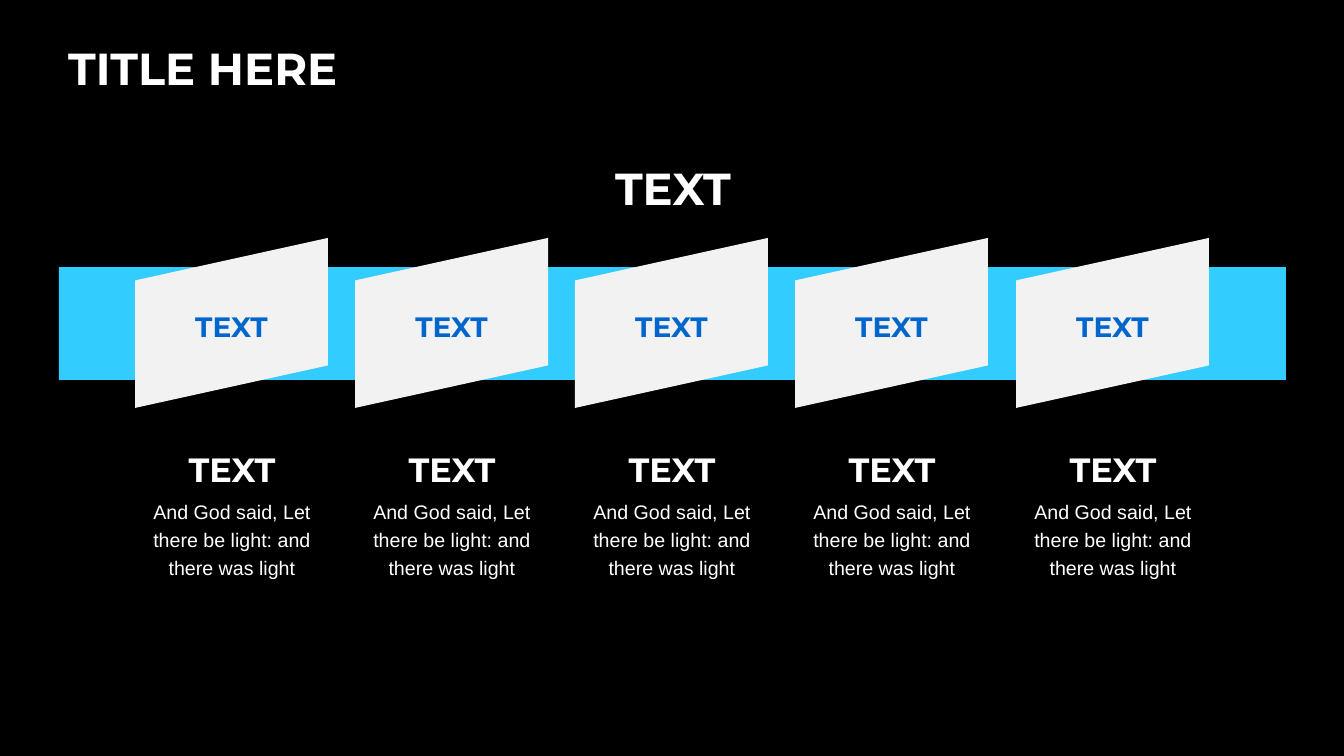
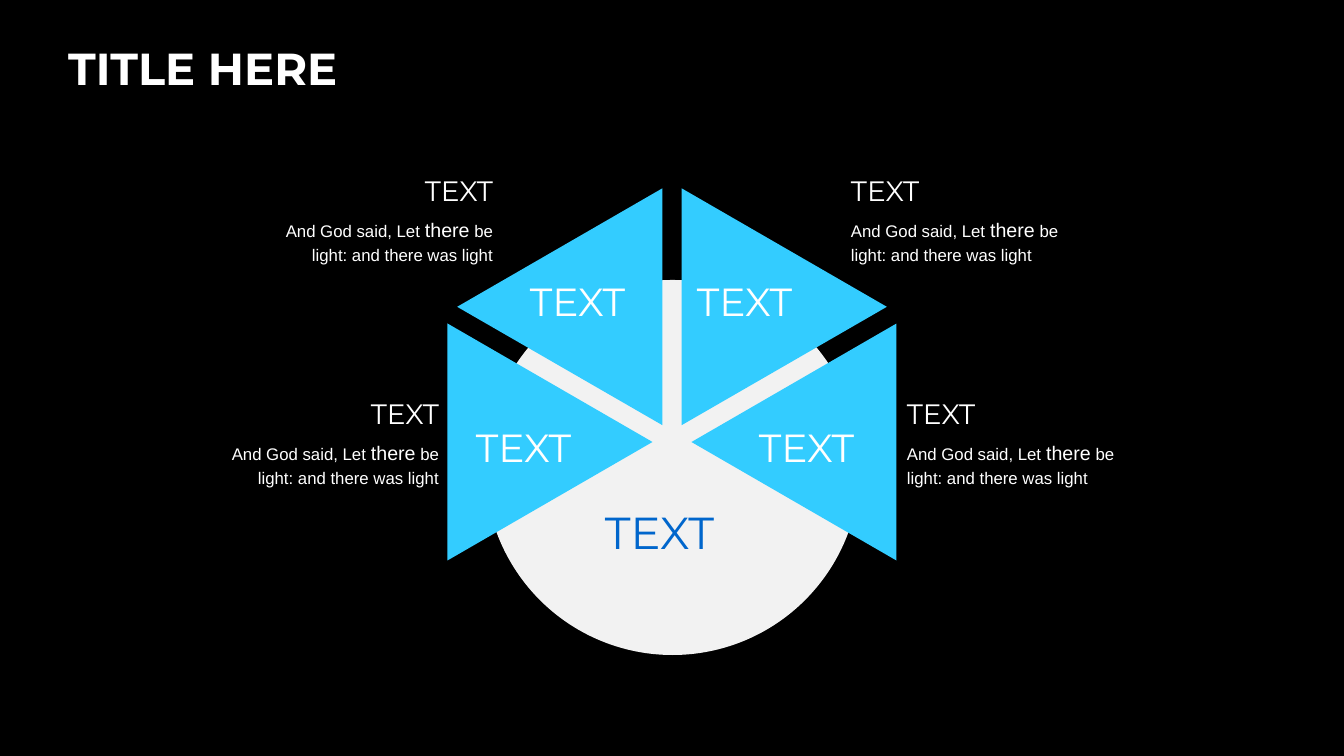
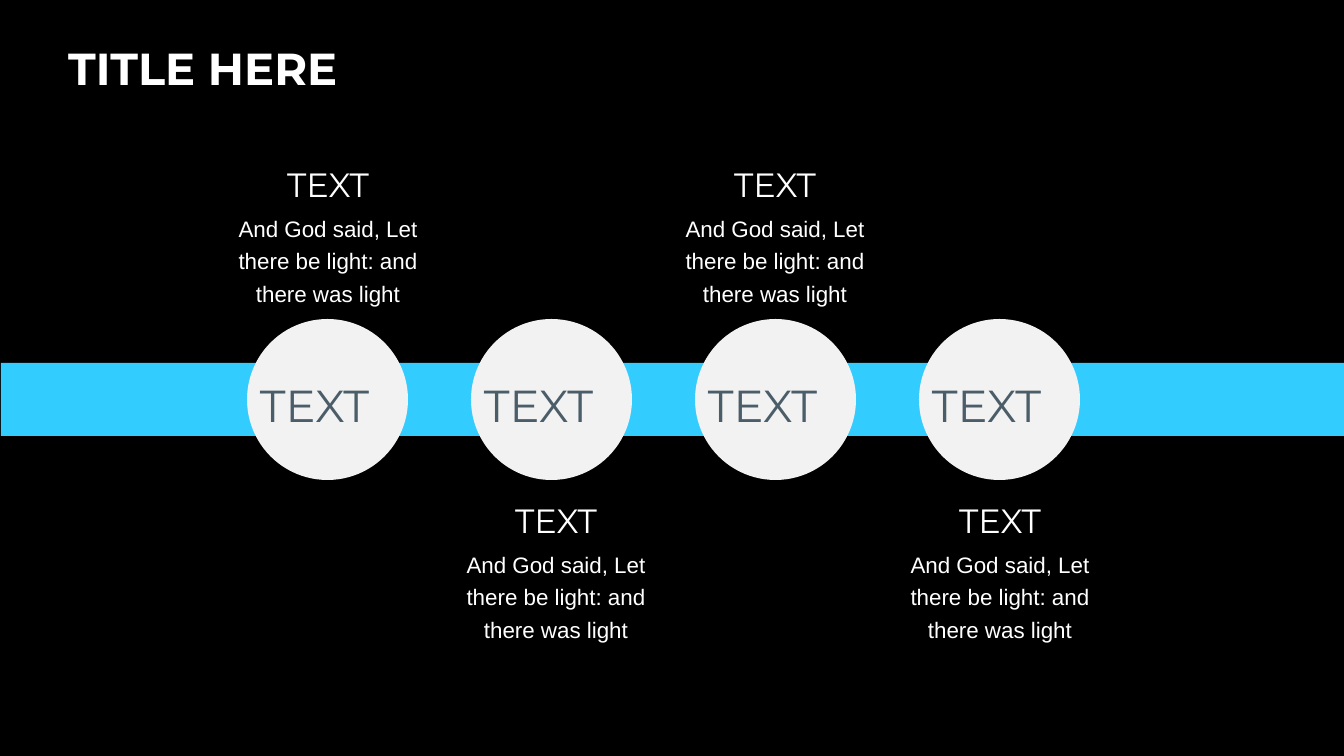
from dataclasses import dataclass
from math import cos, radians, sin

from pptx import Presentation
from pptx.dml.color import RGBColor
from pptx.enum.shapes import MSO_SHAPE
from pptx.enum.text import MSO_ANCHOR, MSO_AUTO_SIZE, PP_ALIGN
from pptx.oxml.ns import qn
from pptx.util import Emu, Pt

LEFT, CENTER, RIGHT = PP_ALIGN.LEFT, PP_ALIGN.CENTER, PP_ALIGN.RIGHT
TOP, MIDDLE = MSO_ANCHOR.TOP, MSO_ANCHOR.MIDDLE
RECTANGLE, OVAL = MSO_SHAPE.RECTANGLE, MSO_SHAPE.OVAL
TRIANGLE, PARALLELOGRAM = MSO_SHAPE.ISOSCELES_TRIANGLE, MSO_SHAPE.PARALLELOGRAM
NO_AUTOFIT = MSO_AUTO_SIZE.NONE

EMU_PER_INCH = 914400
PX_PER_INCH = 100.8
TITLE_ONLY = 5


@dataclass(frozen=True)
class Theme:
    """Colours, fonts and type sizes shared by all slides."""

    background: str = "000000"
    text: str = "FFFFFF"
    accent: str = "33CCFF"
    panel: str = "F2F2F2"
    link: str = "0066CC"
    slate: str = "4A5D69"
    heading_font: str = "Montserrat"
    body_font: str = "Arial"
    display: int = 32
    large: int = 28
    heading: int = 24
    subheading: int = 20
    body_large: int = 16
    body: int = 14
    body_small: int = 12


@dataclass(frozen=True)
class Style:
    """Look of one paragraph."""

    size: int
    color: str = Theme.text
    font: str = Theme.heading_font
    bold: bool = False


THEME = Theme()
TITLE = "TITLE HERE"
HEADING = "TEXT"
VERSE = ["And God said, Let there be light: and there was light"]
SPLIT_VERSE = ["And God said, Let ", "there", " be light: and there was light"]


def px(length):
    """Turn pixels into EMU."""
    return Emu(round(length * EMU_PER_INCH / PX_PER_INCH))


def format_font(font, style):
    """Apply a style to a font."""
    font.name = style.font
    font.size = Pt(style.size)
    font.bold = style.bold
    font.color.rgb = RGBColor.from_string(style.color)


def write(shape, paragraphs, align=LEFT, anchor=TOP):
    """Write (runs, style) paragraphs; every second run is set in body size."""
    frame = shape.text_frame
    frame.word_wrap = True
    frame.auto_size = NO_AUTOFIT
    frame.vertical_anchor = anchor
    for index, (texts, style) in enumerate(paragraphs):
        paragraph = frame.add_paragraph() if index else frame.paragraphs[0]
        paragraph.alignment = align
        paragraph.line_spacing = 1.2
        paragraph.space_before = Pt(2 if index else 0)
        paragraph.space_after = Pt(2)
        format_font(paragraph.font, style)
        for position, text in enumerate(texts):
            run = paragraph.add_run()
            run.text = text
            if position % 2:
                run.font.size = Pt(THEME.body)


def add_text(slide, box, paragraphs, align=LEFT, anchor=TOP):
    """Add a text box at a pixel box."""
    shape = slide.shapes.add_textbox(*map(px, box))
    write(shape, paragraphs, align, anchor)


def add_label(slide, box, style, align=LEFT, anchor=TOP):
    """Add a one-word label."""
    add_text(slide, box, [([HEADING], style)], align, anchor)


def add_note(slide, box, heading, verse, body_size, align=CENTER):
    """Add a heading with a verse below it."""
    body = Style(body_size, font=THEME.body_font)
    add_text(slide, box, [([HEADING], heading), (verse, body)], align)


def add_filled(slide, kind, box, color, rotation=0):
    """Add a plain filled preset shape."""
    shape = slide.shapes.add_shape(kind, *map(px, box))
    shape.shadow.inherit = False
    shape.fill.solid()
    shape.fill.fore_color.rgb = RGBColor.from_string(color)
    shape.line.fill.background()
    shape.rotation = rotation
    return shape


def add_titled_slide(presentation):
    """Add a slide with the shared title."""
    slide = presentation.slides.add_slide(presentation.slide_layouts[TITLE_ONLY])
    title = slide.shapes.title
    title.left, title.top, title.width, title.height = map(px, (58, 28, 1228, 80))
    frame = title.text_frame
    frame.text = TITLE
    frame.auto_size = NO_AUTOFIT
    frame.vertical_anchor = MIDDLE
    paragraph = frame.paragraphs[0]
    paragraph.alignment = LEFT
    format_font(paragraph.font, Style(THEME.display, bold=True))
    return slide


def add_slanted_panel(slide, box):
    """Add a panel whose top and bottom rise to the right, with level text."""
    left, top, width, height = box
    upright = (left + (width - height) / 2, top + (height - width) / 2, height, width)
    panel = add_filled(slide, PARALLELOGRAM, upright, THEME.panel, 270)
    panel.element.spPr.find(qn("a:xfrm")).set("flipV", "1")
    style = Style(THEME.subheading, THEME.link, bold=True)
    write(panel, [([HEADING], style)], CENTER, MIDDLE)
    panel.text_frame._txBody.bodyPr.set("vert", "vert270")


def add_panel_row(slide, box, count=5):
    """Place a band, its heading, and evenly spaced panels with notes."""
    left, top, width, height = box
    add_filled(slide, RECTANGLE, box, THEME.accent)
    add_label(slide, (left + 521, top - 131, 186, 92),
              Style(THEME.display, bold=True), CENTER, MIDDLE)
    heading = Style(THEME.heading, bold=True)
    for index in range(count):
        column = left + 76 + 881 * index // (count - 1)
        add_slanted_panel(slide, (column, top - 29, 193, 170))
        add_note(slide, (column, top + 169, 194, 218), heading, VERSE, THEME.body)


def add_wedge_wheel(slide, box):
    """Place a disc, four wedges pointing at its hub, and their notes."""
    left, top, width, height = box
    hub_x, hub_y, reach = left + 187, top + 162, 122
    wedge_width, wedge_height = 237, 205
    add_filled(slide, OVAL, box, THEME.panel)
    wedges = [
        (270, (-19, 129), (-272, 105), RIGHT),
        (330, (35, -17), (-218, -118), RIGHT),
        (30, (202, -17), (356, -118), LEFT),
        (90, (264, 129), (412, 105), LEFT),
    ]
    for angle, label, note, align in wedges:
        center_x = hub_x + reach * sin(radians(angle))
        center_y = hub_y - reach * cos(radians(angle))
        wedge = (center_x - wedge_width / 2, center_y - wedge_height / 2,
                 wedge_width, wedge_height)
        add_filled(slide, TRIANGLE, wedge, THEME.accent, (angle + 180) % 360)
        add_label(slide, (left + label[0], top + label[1], 137, 64), Style(THEME.large))
        add_note(slide, (left + note[0], top + note[1], 236, 114),
                 Style(THEME.subheading), SPLIT_VERSE, THEME.body_small, align)
    add_label(slide, (left + 110, top + 209, 153, 71), Style(THEME.display, THEME.link))


def add_timeline(slide, box):
    """Place a band with discs and notes alternating above and below it."""
    left, top, width, height = box
    diameter, step = 161, 224
    add_filled(slide, RECTANGLE, box, THEME.accent)
    for index, shift in enumerate((-25, -21, -26, -25)):
        disc_left = left + 246 + index * step
        note_top = top + (124 if index % 2 else -212)
        disc = (disc_left, top + (height - diameter) / 2, diameter, diameter)
        add_filled(slide, OVAL, disc, THEME.panel)
        add_label(slide, (disc_left + 3, top - 1, 153, 76),
                  Style(THEME.display, THEME.slate))
        add_note(slide, (disc_left + shift, note_top, 212, 162),
                 Style(THEME.heading), VERSE, THEME.body_large)


def main():
    """Build and save the presentation."""
    presentation = Presentation()
    presentation.slide_width, presentation.slide_height = px(1344), px(756)
    background = presentation.slide_master.background.fill
    background.solid()
    background.fore_color.rgb = RGBColor.from_string(THEME.background)
    add_panel_row(add_titled_slide(presentation), (59, 267, 1227, 113))
    add_wedge_wheel(add_titled_slide(presentation), (485, 280, 375, 375))
    add_timeline(add_titled_slide(presentation), (1, 363, 1343, 73))
    presentation.save("out.pptx")


if __name__ == "__main__":
    main()
